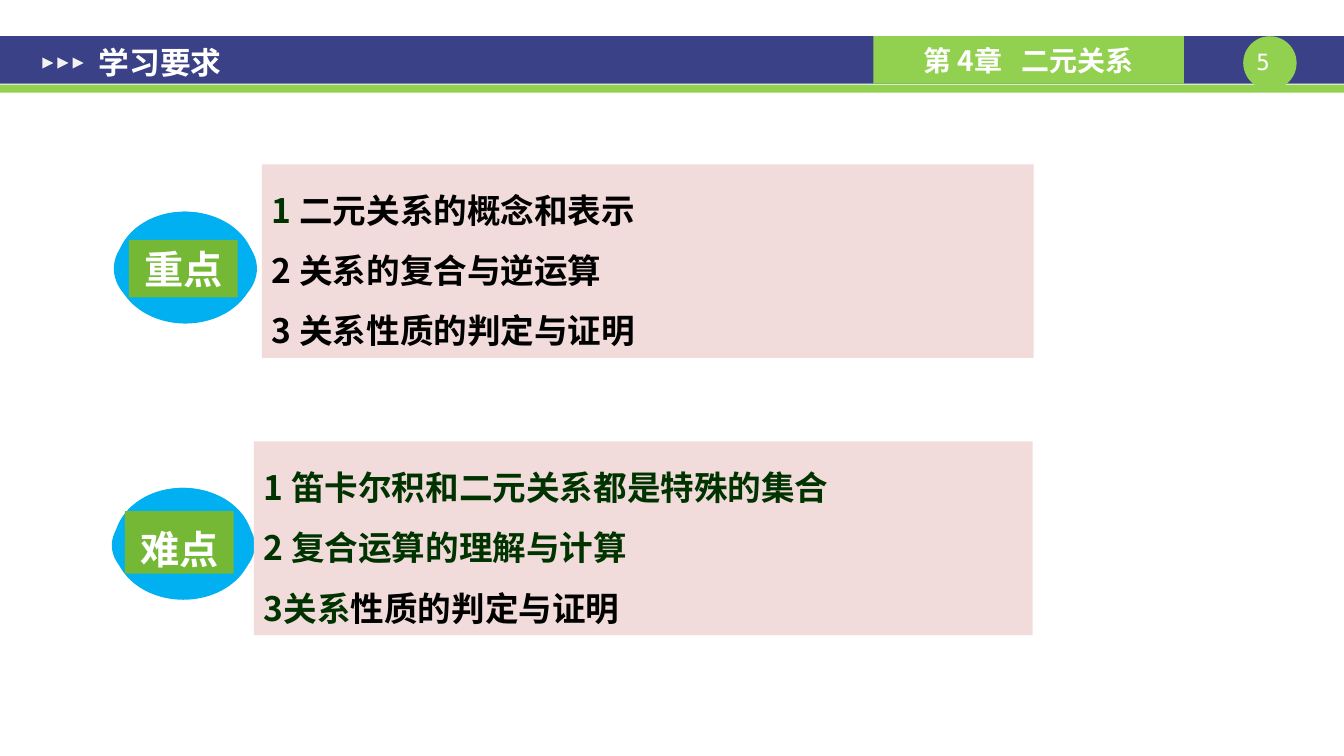
import dataclasses
from typing import Any

import pptx
import pptx.dml.color
import pptx.enum.shapes
import pptx.enum.text
import pptx.oxml
import pptx.oxml.ns
import pptx.util

Inches = pptx.util.Inches
RGBColor = pptx.dml.color.RGBColor
MSO_SHAPE = pptx.enum.shapes.MSO_SHAPE
PP_ALIGN = pptx.enum.text.PP_ALIGN
MSO_ANCHOR = pptx.enum.text.MSO_ANCHOR
MSO_AUTO_SIZE = pptx.enum.text.MSO_AUTO_SIZE

NAVY = RGBColor(0x3A, 0x41, 0x87)
LIME = RGBColor(0x92, 0xD0, 0x50)
GREEN = RGBColor(0x74, 0xB8, 0x36)
DARK_GREEN = RGBColor(0x00, 0x33, 0x00)
SKY = RGBColor(0x00, 0xB0, 0xF0)
PINK = RGBColor(0xF2, 0xDC, 0xDB)
PALE = RGBColor(0xF2, 0xF2, 0xF2)
WHITE = RGBColor(0xFF, 0xFF, 0xFF)
BLACK = RGBColor(0x00, 0x00, 0x00)

CJK_FONT = "Noto Sans CJK SC"
NUMBER_FONT = "DejaVu Sans Mono"
SLIDE_WIDTH = 13.34
BAR_TOP, BAR_HEIGHT = 0.36, 0.47

Box = tuple[float, float, float, float]
Piece = tuple[str, RGBColor]

# Overlapping ellipses of a badge, relative to its corner
BADGE_LAYERS: list[Box] = [
    (0.02, 0, 1.38, 1.11),
    (0.03, 0, 1.34, 1.08),
    (0.05, 0.01, 1.28, 1.01),
    (0.12, 0.04, 1.14, 0.82),
]


@dataclasses.dataclass
class Section:
    label: str
    badge: tuple[float, float]
    base_layer: Box
    label_box: Box
    label_spacing: float
    panel: Box
    items: list[list[Piece]]


SECTIONS = [
    Section("重点", (1.13, 2.1), (0, 0.08, 1.42, 0.97),
            (1.28, 2.38, 1.08, 0.57), 1.0, (2.6, 1.63, 7.66, 1.92),
            [[("1 ", DARK_GREEN), ("二元关系的概念和表示", BLACK)],
             [("2 关系的复合与逆运算", BLACK)],
             [("3 关系性质的判定与证明", BLACK)]]),
    Section("难点", (1.11, 4.84), (0, 0.12, 1.42, 0.9),
            (1.24, 5.07, 1.08, 0.62), 1.2, (2.52, 4.38, 7.73, 1.92),
            [[("1 笛卡尔积和二元关系都是特殊的集合", DARK_GREEN)],
             [("2 复合运算的理解与计算", DARK_GREEN)],
             [("3关系", DARK_GREEN), ("性质的判定与证明", BLACK)]]),
]


def add_filled(shapes: Any, kind: Any, box: Box, color: RGBColor) -> Any:
    sp = shapes.add_shape(kind, *map(Inches, box))
    sp.shadow.inherit = False
    sp.fill.solid()
    sp.fill.fore_color.rgb = color
    sp.line.fill.background()
    return sp


def add_run(p: Any, text: str, size: float, color: RGBColor,
            font: str = CJK_FONT, bold: bool = True) -> Any:
    r = p.add_run()
    r.text = text
    r.font.size = pptx.util.Pt(size)
    r.font.bold = bold
    r.font.color.rgb = color
    r.font.name = font
    ea = pptx.oxml.parse_xml(f'<a:ea {pptx.oxml.ns.nsdecls("a")} typeface="{font}"/>')
    r.font._element.find(pptx.oxml.ns.qn("a:latin")).addnext(ea)
    return r


def set_frame(sp: Any, anchor: Any, grow: bool = False) -> Any:
    tf = sp.text_frame
    tf.word_wrap = True
    tf.vertical_anchor = anchor
    if grow:
        tf.auto_size = MSO_AUTO_SIZE.SHAPE_TO_FIT_TEXT
    return tf


def set_margins(tf: Any, side: float, end: float) -> None:
    tf.margin_left = tf.margin_right = Inches(side)
    tf.margin_top = tf.margin_bottom = Inches(end)


def draw_header(shapes: Any) -> None:
    add_filled(shapes, MSO_SHAPE.RECTANGLE, (0, BAR_TOP, SLIDE_WIDTH, BAR_HEIGHT), NAVY)
    add_filled(shapes, MSO_SHAPE.RECTANGLE, (0, 0.84, SLIDE_WIDTH, 0.08), LIME)
    add_filled(shapes, MSO_SHAPE.OVAL, (12.34, BAR_TOP, 0.53, 0.53), LIME)

    number = shapes.add_textbox(*map(Inches, (12.34, 0.48, 0.53, 0.27)))
    tf = set_frame(number, MSO_ANCHOR.TOP, grow=True)
    set_margins(tf, 0, 0)
    tf.paragraphs[0].alignment = PP_ALIGN.CENTER
    add_run(tf.paragraphs[0], "5 ", 16, WHITE, NUMBER_FONT, bold=False)

    chapter = add_filled(shapes, MSO_SHAPE.RECTANGLE, (8.67, BAR_TOP, 3.08, BAR_HEIGHT), LIME)
    p = set_frame(chapter, MSO_ANCHOR.MIDDLE).paragraphs[0]
    p.alignment = PP_ALIGN.CENTER
    add_run(p, "第 4章", 20, WHITE)
    gap = add_run(p, " ", 20, WHITE)
    gap.font._element.set("spc", "900")
    add_run(p, "二元关系", 20, WHITE)

    for i in range(3):
        arrow = add_filled(shapes, MSO_SHAPE.ISOSCELES_TRIANGLE,
                           (0.42 + 0.15 * i, 0.57, 0.11, 0.11), PALE)
        arrow.rotation = 90

    title = shapes.add_textbox(*map(Inches, (0.85, 0.4, 5.8, 0.44)))
    tf = set_frame(title, MSO_ANCHOR.MIDDLE)
    set_margins(tf, 0.13, 0.07)
    add_run(tf.paragraphs[0], "学习要求", 22, WHITE)


def draw_section(shapes: Any, section: Section) -> None:
    left, top = section.badge
    badge = shapes.add_group_shape()
    for x, y, width, height in [section.base_layer, *BADGE_LAYERS]:
        add_filled(badge.shapes, MSO_SHAPE.OVAL, (left + x, top + y, width, height), SKY)

    label = add_filled(shapes, MSO_SHAPE.RECTANGLE, section.label_box, GREEN)
    p = set_frame(label, MSO_ANCHOR.TOP, grow=True).paragraphs[0]
    p.alignment = PP_ALIGN.CENTER
    p.line_spacing = section.label_spacing
    add_run(p, section.label, 28, WHITE)

    panel = add_filled(shapes, MSO_SHAPE.RECTANGLE, section.panel, PINK)
    tf = set_frame(panel, MSO_ANCHOR.TOP, grow=True)
    for i, pieces in enumerate(section.items):
        p = tf.add_paragraph() if i else tf.paragraphs[0]
        p.alignment = PP_ALIGN.LEFT
        p.line_spacing = 1.5
        for text, color in pieces:
            add_run(p, text, 24, color)


def main() -> None:
    prs = pptx.Presentation()
    prs.slide_width = Inches(SLIDE_WIDTH)
    prs.slide_height = Inches(7.5)
    s = prs.slides.add_slide(prs.slide_layouts[6])
    draw_header(s.shapes)
    for section in SECTIONS:
        draw_section(s.shapes, section)
    prs.save("out.pptx")


if __name__ == "__main__":
    main()
